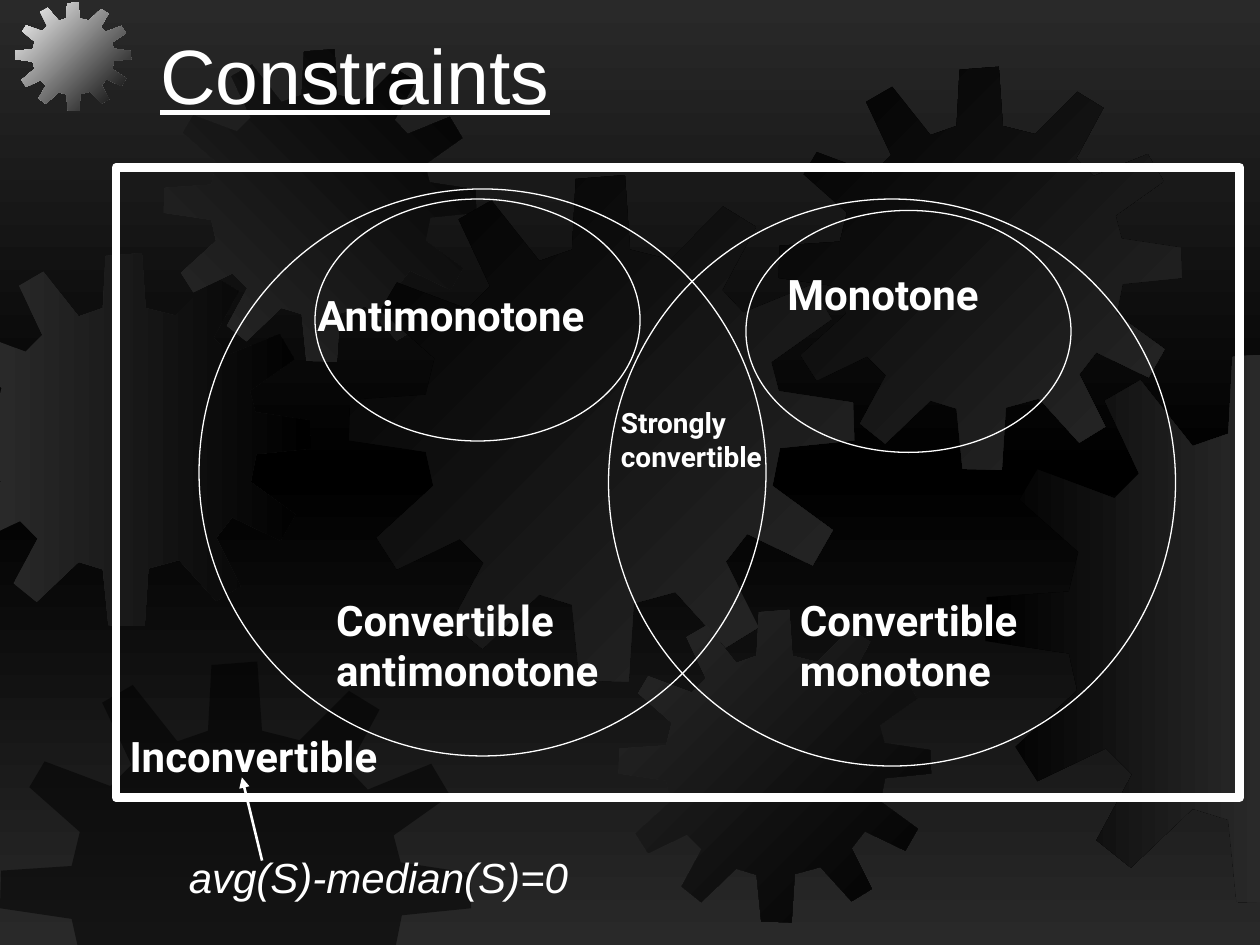
from copy import deepcopy
from typing import NamedTuple

from lxml import etree
from pptx import Presentation
from pptx.dml.color import RGBColor
from pptx.enum.shapes import MSO_CONNECTOR, MSO_SHAPE
from pptx.enum.text import MSO_ANCHOR, MSO_AUTO_SIZE, PP_ALIGN
from pptx.oxml.ns import qn
from pptx.util import Inches, Pt

LINE = MSO_CONNECTOR.STRAIGHT
RECT, OVAL = MSO_SHAPE.RECTANGLE, MSO_SHAPE.OVAL
BOTTOM, LEFT = MSO_ANCHOR.BOTTOM, PP_ALIGN.LEFT
NO_FIT, GROW = MSO_AUTO_SIZE.NONE, MSO_AUTO_SIZE.SHAPE_TO_FIT_TEXT

COLORS = {"white": "FFFFFF", "black": "000000", "gray": "292929"}
WIDE, HIGH = 10, 7.5
TITLE_ONLY = 5

# Outline of one gear on a square grid; every gear is this one, scaled.
GRID = 401
TEETH = [
    (255, 67), (223, 59), (219, 0), (180, 3), (177, 59), (151, 68),
    (113, 20), (87, 35), (112, 88), (94, 106), (38, 85), (25, 107),
    (68, 145), (61, 174), (1, 178), (0, 210), (61, 219), (67, 246),
    (22, 287), (38, 312), (88, 288), (107, 307), (81, 355), (106, 375),
    (151, 332), (177, 340), (183, 400), (222, 401), (226, 339), (259, 330),
    (299, 374), (325, 358), (299, 306), (316, 284), (368, 309), (384, 281),
    (336, 246), (342, 216), (401, 210), (400, 180), (341, 171), (335, 148),
    (383, 114), (367, 87), (313, 109), (296, 91), (323, 41), (297, 25),
]


class Gear(NamedTuple):
    left: float
    top: float
    width: float
    height: float
    start: str
    end: str
    angle: int = 0
    alpha: int = 100


class Frame(NamedTuple):
    kind: int
    left: float
    top: float
    width: float
    height: float
    weight: float = 0.75


class Label(NamedTuple):
    text: str
    left: float
    top: float
    width: float
    height: float
    size: int = 24
    font: str = "Roboto"
    bold: bool = True
    wrap: bool = False


GEARS = [
    Gear(-0.49, 2.01, 2.96, 2.96, "gray", "black"),
    Gear(0.12, 0.02, 0.92, 0.86, "white", "black", 45),
    Gear(1.3, 0.39, 2.48, 2.48, "gray", "black", 315),
    Gear(2.77, 1.39, 4.01, 4.02, "black", "gray", 45),
    Gear(0, 5.25, 3.74, 3.74, "black", "black", alpha=50),
    Gear(4.91, 4.84, 2.48, 2.48, "gray", "black", 45),
    Gear(6.18, 0.53, 3.2, 3.2, "black", "gray", 45),
    Gear(7.82, 2.8, 4.37, 4.37, "black", "gray"),
]
FRAMES = [
    Frame(RECT, 0.92, 1.33, 8.92, 5, 5),
    Frame(OVAL, 1.58, 1.5, 4.5, 4.5),
    Frame(OVAL, 4.83, 1.58, 4.5, 4.5),
    Frame(OVAL, 5.92, 1.67, 2.58, 1.92),
    Frame(OVAL, 2.5, 1.58, 2.58, 1.92),
]
LABELS = [
    Label("Convertible\nantimonotone", 2.57, 4.67, 2.59, 0.9),
    Label("Convertible\nmonotone", 6.25, 4.67, 2.13, 0.9),
    Label("Strongly\nconvertible", 4.83, 3.17, 1.67, 0.64, 16, wrap=True),
    Label("Inconvertible", 0.93, 5.75, 2.44, 0.5),
    Label("Antimonotone", 2.42, 2.25, 2.58, 0.9, wrap=True),
    Label("Monotone", 6.15, 2.08, 1.91, 0.5),
    Label("avg(S)-median(S)=0", 1.4, 6.71, 3.21, 0.5, font="Arial", bold=False),
]


def rgb(name: str) -> RGBColor:
    return RGBColor.from_string(COLORS[name])


def blend(fill, names: list[str], angle: int) -> None:
    """Fill with a gradient whose angle runs clockwise."""
    fill.gradient()
    fill.gradient_angle = -angle % 360
    for stop, name in zip(fill.gradient_stops, names):
        stop.color.rgb = rgb(name)


def clip(points: list, axis: int, bound: float, sign: int) -> list:
    """Cut a polygon along one edge of the slide."""
    kept = []
    for a, b in zip(points, points[1:] + points[:1]):
        da, db = sign * (bound - a[axis]), sign * (bound - b[axis])
        if da >= 0:
            kept.append(a)
        if da * db < 0:
            t = da / (da - db)
            kept.append((a[0] + t * (b[0] - a[0]), a[1] + t * (b[1] - a[1])))
    return kept


def draw_gear(shapes, gear: Gear) -> None:
    points = [(gear.left + x / GRID * gear.width, gear.top + y / GRID * gear.height)
              for x, y in TEETH]
    for axis, bound, sign in ((0, 0, -1), (0, WIDE, 1), (1, HIGH, 1)):
        points = clip(points, axis, bound, sign)
    spots = [(Inches(x), Inches(y)) for x, y in points]
    path = shapes.build_freeform(*spots[0])
    path.add_line_segments(spots[1:], close=True)
    shape = path.convert_to_shape()
    shape.shadow.inherit = False
    shape.line.fill.background()
    if gear.alpha == 100:
        blend(shape.fill, [gear.start, gear.end], gear.angle)
    else:
        shape.fill.solid()
        shape.fill.fore_color.rgb = rgb(gear.start)
        tint = shape.element.spPr.find(qn("a:solidFill"))[0]
        etree.SubElement(tint, qn("a:alpha"), val=str(gear.alpha * 1000))


def draw_frame(shapes, frame: Frame) -> None:
    shape = shapes.add_shape(frame.kind, *map(Inches, frame[1:5]))
    shape.shadow.inherit = False
    shape.fill.background()
    shape.line.color.rgb = rgb("white")
    shape.line.width = Pt(frame.weight)


def draw_label(shapes, label: Label) -> None:
    frame = shapes.add_textbox(*map(Inches, label[1:5])).text_frame
    frame.word_wrap = label.wrap
    frame.auto_size = GROW
    frame.text = label.text
    for para in frame.paragraphs:
        font = para.font
        font.name, font.size = label.font, Pt(label.size)
        font.bold, font.italic = label.bold, not label.bold
        font.color.rgb = rgb("white")


def draw_arrow(shapes) -> None:
    arrow = shapes.add_connector(LINE, *map(Inches, (2.08, 6.83, 1.92, 6.17)))
    arrow.line.color.rgb = rgb("white")
    arrow.line.width = Pt(1.5)
    props = arrow.element.spPr
    etree.SubElement(props.find(qn("a:ln")), qn("a:tailEnd"), type="triangle")
    etree.SubElement(props, qn("a:effectLst"))


def set_title(title) -> None:
    title.left, title.top, title.width, title.height = map(
        Inches, (1.17, -0.25, 8.5, 1.25))
    frame = title.text_frame
    frame.text = "Constraints"
    frame.vertical_anchor, frame.auto_size = BOTTOM, NO_FIT
    para = frame.paragraphs[0]
    para.alignment = LEFT
    para.font.name, para.font.size = "Arial", Pt(44)
    para.font.underline = True
    para.font.color.rgb = rgb("white")


def set_back(slide) -> None:
    fill = slide.background.fill
    fill.gradient()
    stops = next(slide.element.iter(qn("a:gsLst")))
    middle = deepcopy(stops[0])
    middle.set("pos", "50000")
    stops.insert(1, middle)
    fill.gradient_angle = 270
    for stop, name in zip(fill.gradient_stops, ("gray", "black", "gray")):
        stop.color.rgb = rgb(name)


def main() -> None:
    deck = Presentation()
    deck.slide_width, deck.slide_height = Inches(WIDE), Inches(HIGH)
    slide = deck.slides.add_slide(deck.slide_layouts[TITLE_ONLY])
    shapes = slide.shapes
    set_back(slide)
    for gear in GEARS:
        draw_gear(shapes, gear)
    title = shapes.title
    set_title(title)
    title.element.getparent().append(title.element)  # in front of the gears
    for frame in FRAMES:
        draw_frame(shapes, frame)
    for label in LABELS:
        draw_label(shapes, label)
    draw_arrow(shapes)
    deck.save("out.pptx")


if __name__ == "__main__":
    main()
